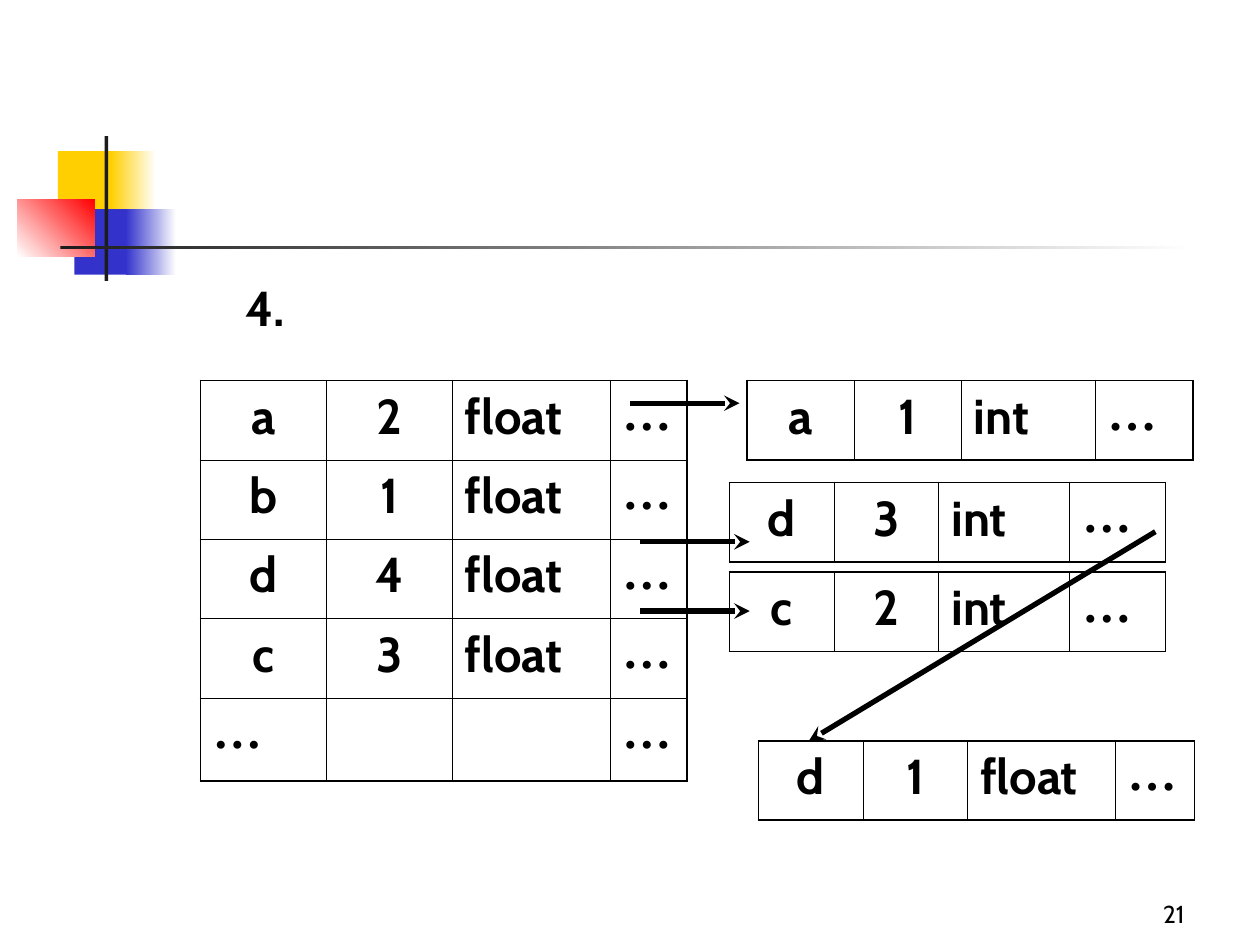
import dataclasses

import pptx
import pptx.dml.color
import pptx.enum.dml
import pptx.enum.shapes
import pptx.enum.text
import pptx.oxml.ns
import pptx.util
from lxml import etree

Inches = pptx.util.Inches
Pt = pptx.util.Pt
Align = pptx.enum.text.PP_ALIGN
Anchor = pptx.enum.text.MSO_ANCHOR
qn = pptx.oxml.ns.qn


@dataclasses.dataclass(frozen=True)
class Theme:
    ink: str = "000000"
    bar: str = "1C1C1C"
    white: str = "FFFFFF"
    yellow: str = "FFCF01"
    blue: str = "3333CC"
    red: str = "FF0000"
    font: str = "Cabin"
    dots_font: str = "Times New Roman"
    body_size: int = 28
    number_size: int = 14
    outer_line: float = 1.08
    inner_line: float = 0.45
    arrow_line: float = 3


THEME = Theme()
ROW_HEIGHT = 0.63
DOTS = "…"


def color(value):
    return pptx.dml.color.RGBColor.from_string(value)


def add_block(page, bounds, start, end=None, angle=0):
    """Add a borderless rectangle, plain or with a two-colour gradient."""
    block = page.shapes.add_shape(
        pptx.enum.shapes.MSO_SHAPE.RECTANGLE, *map(Inches, bounds))
    block.shadow.inherit = False
    block.line.fill.background()
    if end is None:
        block.fill.solid()
        block.fill.fore_color.rgb = color(start)
        return
    block.fill.gradient()
    block.fill.gradient_angle = angle
    for stop, value in zip(block.fill.gradient_stops, (start, end)):
        stop.color.rgb = color(value)


def write(frame, text, size=THEME.body_size, bold=True, align=Align.LEFT):
    para = frame.paragraphs[0]
    para.alignment = align
    span = para.add_run()
    span.text = text
    span.font.name = THEME.dots_font if text == DOTS else THEME.font
    span.font.size = Pt(size)
    span.font.bold = bold
    span.font.color.rgb = color(THEME.ink)


def add_label(page, bounds, text, anchor=Anchor.TOP, **style):
    box = page.shapes.add_textbox(*map(Inches, bounds))
    box.text_frame.word_wrap = True
    box.text_frame.vertical_anchor = anchor
    write(box.text_frame, text, **style)


def set_border(cell, side, width):
    properties = cell._tc.get_or_add_tcPr()
    line = etree.SubElement(properties, qn("a:" + side), w=str(Pt(width)))
    fill = etree.SubElement(line, qn("a:solidFill"))
    etree.SubElement(fill, qn("a:srgbClr"), val=THEME.ink)


def add_records(page, left, top, widths, records, last_height=ROW_HEIGHT):
    """Add a table of symbol records with a heavier outer border."""
    heights = [ROW_HEIGHT] * (len(records) - 1) + [last_height]
    table = page.shapes.add_table(
        len(records), len(widths), Inches(left), Inches(top),
        Inches(sum(widths)), Inches(sum(heights))).table
    table.first_row = table.horz_banding = False
    for column, width in zip(table.columns, widths):
        column.width = Inches(width)
    for row, height in zip(table.rows, heights):
        row.height = Inches(height)

    for i, record in enumerate(records):
        for j, text in enumerate(record):
            cell = table.cell(i, j)
            edges = {
                "lnL": j == 0,
                "lnR": j == len(widths) - 1,
                "lnT": i == 0,
                "lnB": i == len(records) - 1,
            }
            for side, outer in edges.items():
                set_border(cell, side, THEME.outer_line if outer else THEME.inner_line)
            cell.fill.background()
            if text:
                centred = j < 2 and text != DOTS
                write(cell.text_frame, text,
                      align=Align.CENTER if centred else Align.LEFT)


def add_arrow(page, start, end):
    arrow = page.shapes.add_connector(
        pptx.enum.shapes.MSO_CONNECTOR.STRAIGHT, *map(Inches, start + end))
    arrow.line.color.rgb = color(THEME.ink)
    arrow.line.width = Pt(THEME.arrow_line)
    etree.SubElement(arrow.line._get_or_add_ln(), qn("a:tailEnd"), type="stealth")
    etree.SubElement(arrow._element.spPr, qn("a:effectLst"))


def add_ornament(page):
    add_block(page, (0.46, 1.2, 0.48, 0.52), THEME.yellow)
    add_block(page, (0.88, 1.2, 0.36, 0.52), THEME.yellow, THEME.white)
    add_block(page, (0.59, 1.66, 0.46, 0.52), THEME.blue)
    add_block(page, (1, 1.66, 0.4, 0.52), THEME.blue, THEME.white)
    add_block(page, (0.14, 1.58, 0.61, 0.46), THEME.white, THEME.red, angle=45)
    add_block(page, (0.83, 1.08, 0.03, 1.15), THEME.bar)
    add_block(page, (0.48, 1.95, 9, 0.03), THEME.bar, THEME.white)


def main():
    deck = pptx.Presentation()
    deck.slide_width, deck.slide_height = Inches(10), Inches(7.5)
    page = deck.slides.add_slide(deck.slide_layouts[6])

    # Corner ornament, slide number and step number
    add_ornament(page)
    add_label(page, (7.42, 6.92, 2.08, 0.5), "21", Anchor.BOTTOM,
              size=THEME.number_size, bold=False, align=Align.RIGHT)
    add_label(page, (1.85, 2.15, 0.71, 0.65), "4.")

    # Main symbol table
    add_records(page, 1.59, 3.02, (1, 1, 1.25, 0.61), [
        ("a", "2", "float", DOTS),
        ("b", "1", "float", DOTS),
        ("d", "4", "float", DOTS),
        ("c", "3", "float", DOTS),
        (DOTS, "", "", DOTS),
    ], last_height=0.66)

    # Linked records, each followed by the arrow beside it
    narrow = (0.83, 0.83, 1.04, 0.76)
    links = [
        (5.93, 3.02, (0.85, 0.85, 1.06, 0.78), ("a", "1", "int"), (5, 3.2), (5.87, 3.2)),
        (5.79, 3.83, narrow, ("d", "3", "int"), (5.08, 4.3), (5.95, 4.3)),
        (5.79, 4.54, narrow, ("c", "2", "int"), (5.08, 4.85), (5.95, 4.85)),
        (6.02, 5.88, (0.83, 0.83, 1.17, 0.63), ("d", "1", "float"), (9.17, 4.22), (6.42, 5.88)),
    ]
    for left, top, widths, record, start, end in links:
        add_records(page, left, top, widths, [record + (DOTS,)])
        add_arrow(page, start, end)

    deck.save("out.pptx")


if __name__ == "__main__":
    main()
